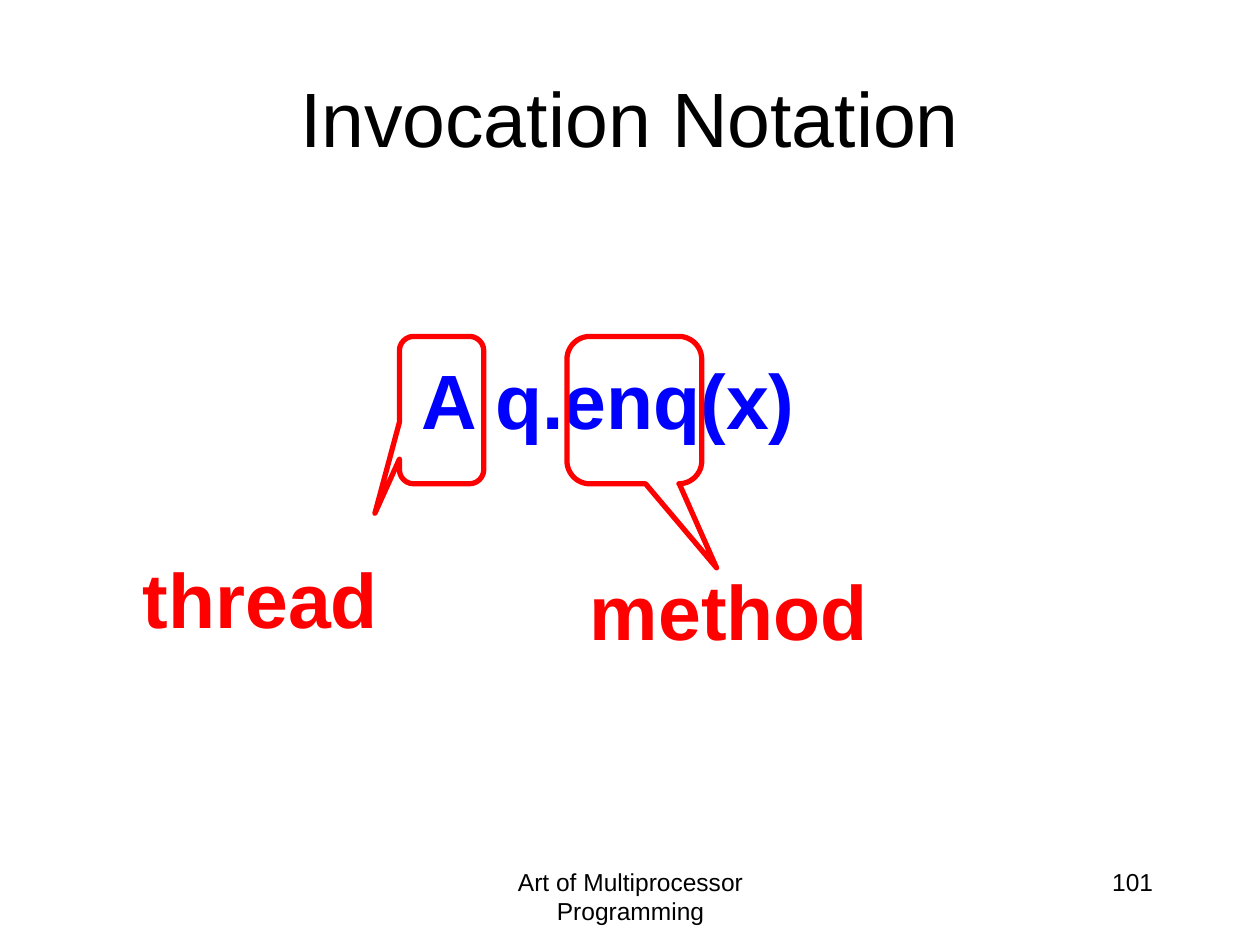
from dataclasses import dataclass
from pptx import Presentation
from pptx.dml.color import RGBColor as RGB
from pptx.enum.shapes import MSO_SHAPE as Shape
from pptx.enum.text import MSO_ANCHOR as Anchor, PP_ALIGN as Align
from pptx.util import Inches, Pt


@dataclass(frozen=True)
class Theme:
    font: str = "Arial"
    ink: RGB = RGB(0, 0, 0)
    code: RGB = RGB(0, 0, 255)
    mark: RGB = RGB(255, 0, 0)
    big: Pt = Pt(44)
    small: Pt = Pt(14)
    line: Pt = Pt(3)


theme = Theme()


def write(box, text, align, **style):
    para = box.text_frame.paragraphs[0]
    para.alignment = align
    run = para.add_run()
    run.text = text
    run.font.color.rgb = style.pop("color", theme.ink)
    for name, value in {"name": theme.font, **style}.items():
        setattr(run.font, name, value)


def add_text(shapes, text, place, align, wrap=False, **style):
    box = shapes.add_textbox(*map(Inches, place))
    box.text_frame.word_wrap = wrap
    write(box, text, align, **style)


deck = Presentation()
deck.slide_width, deck.slide_height = Inches(10), Inches(7.5)
slide = deck.slides.add_slide(deck.slide_layouts[5])

# Footer and slide number
add_text(slide.shapes, "Art of Multiprocessor Programming", (3.42, 6.83, 3.17, 0.5),
         Align.CENTER, wrap=True, size=theme.small)
add_text(slide.shapes, "101", (7.17, 6.83, 2.08, 0.5),
         Align.RIGHT, wrap=True, size=theme.small)

# Title
title = slide.shapes.title
place = {"left": 0.5, "top": 0.3, "width": 9, "height": 1.25}
for name, value in place.items():
    setattr(title, name, Inches(value))
title.text_frame.vertical_anchor = Anchor.MIDDLE
write(title, "Invocation Notation", Align.CENTER, size=theme.big)

# Invocation
add_text(slide.shapes, "A q.enq(x)", (3.13, 2.75, 3.28, 0.83),
         Align.RIGHT, size=theme.big, bold=True, color=theme.code)

# Callouts around its parts, each grouped with its label
parts = [
    ("thread", (1.01, 4.33, 2.09, 0.84), 3.17, 0.67, (-0.79, 0.7, 0.17)),
    ("method", (4.56, 4.42, 2.43, 0.84), 4.5, 1.07, (0.61, 1.07, 0.17)),
]
for label, place, left, width, bends in parts:
    group = slide.shapes.add_group_shape()
    call = group.shapes.add_shape(Shape.ROUNDED_RECTANGULAR_CALLOUT, Inches(left),
                                  Inches(2.67), Inches(width), Inches(1.17))
    for i, bend in enumerate(bends):
        call.adjustments[i] = bend
    call.shadow.inherit = False
    call.fill.background()
    call.line.color.rgb = theme.mark
    call.line.width = theme.line
    add_text(group.shapes, label, place, Align.RIGHT,
             size=theme.big, bold=True, color=theme.mark)

deck.save("out.pptx")
